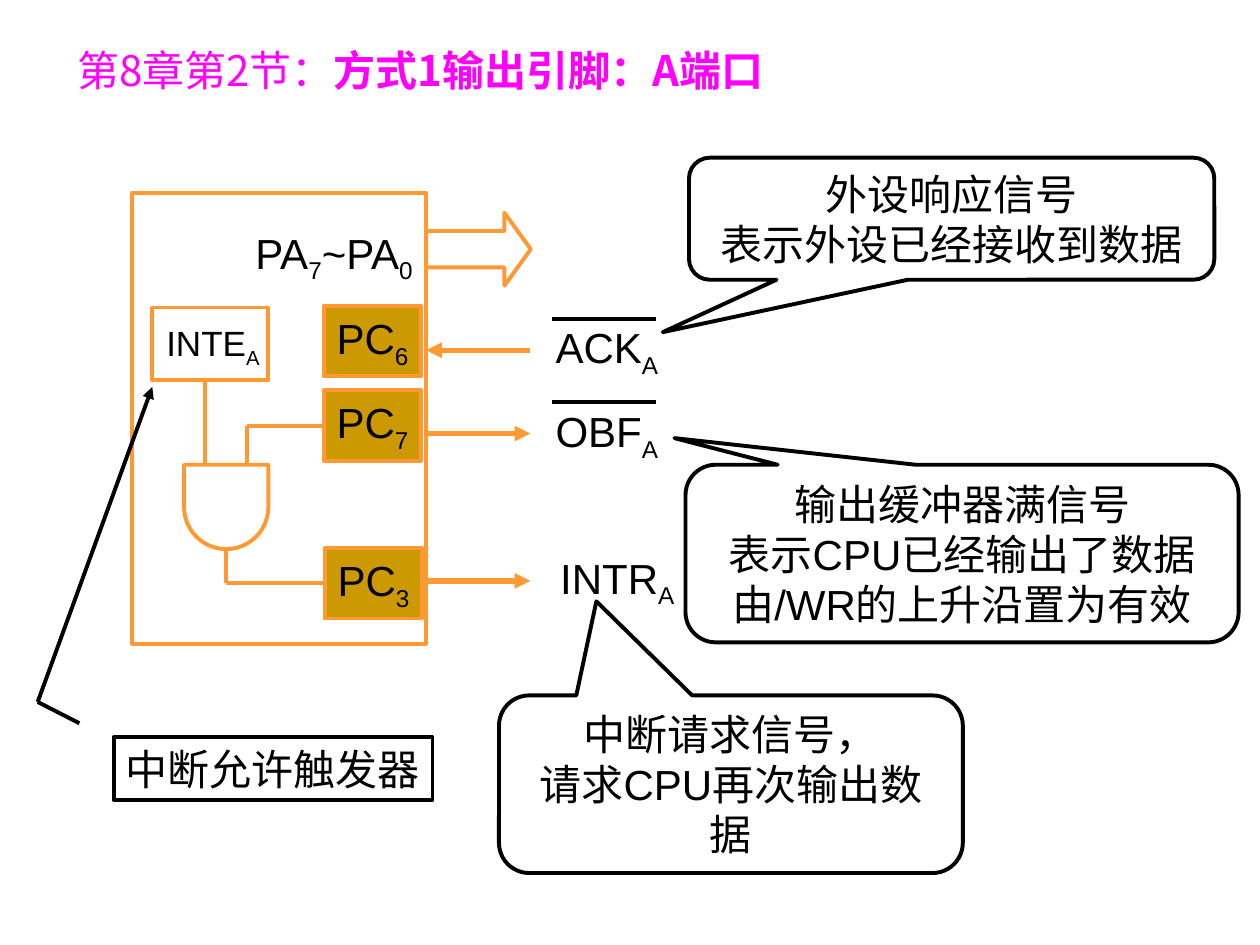
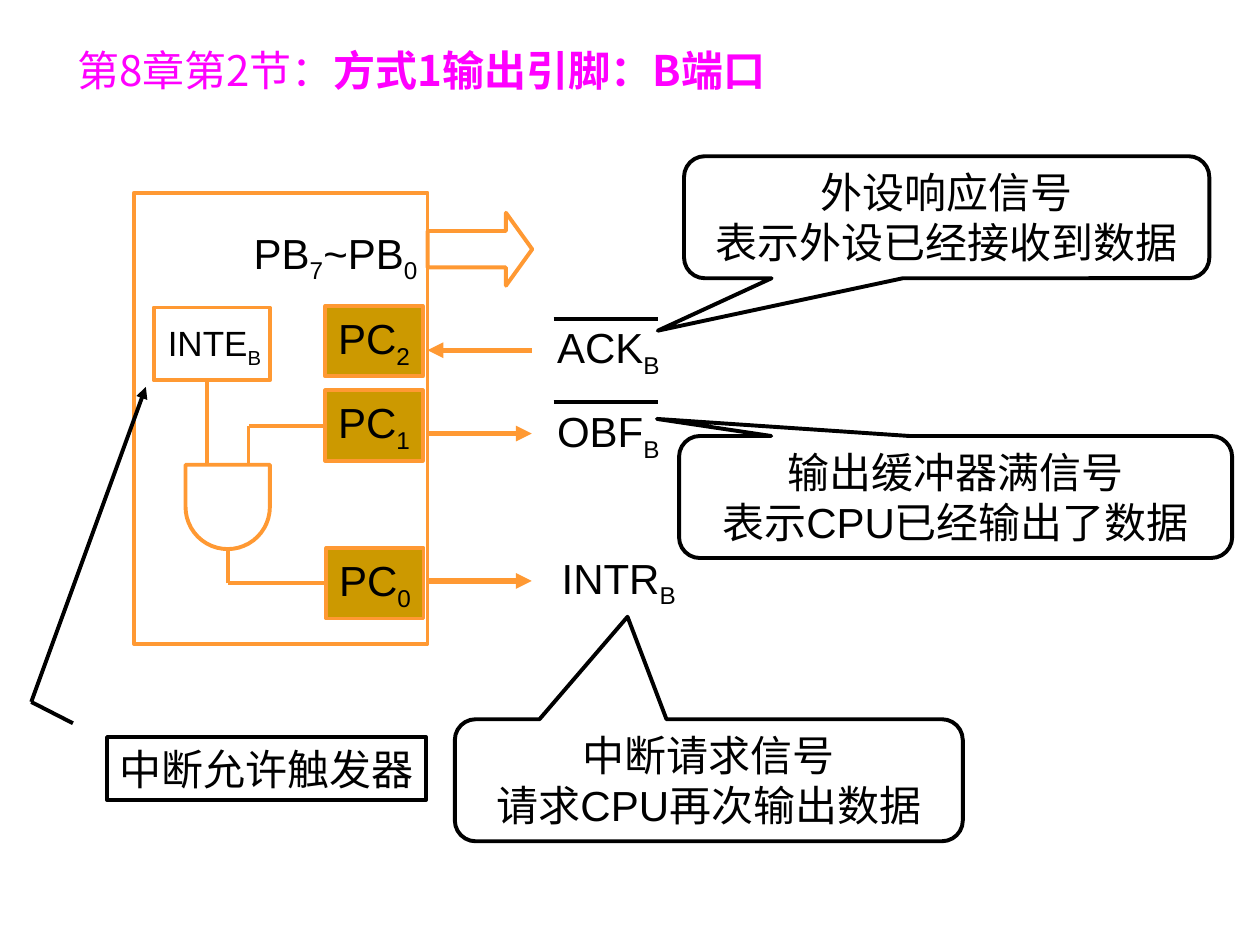
"""Build two slides on the mode 1 output pins of ports A and B."""
from dataclasses import dataclass

from lxml.etree import SubElement
from pptx import Presentation
from pptx.dml.color import RGBColor
from pptx.enum.shapes import MSO_CONNECTOR, MSO_SHAPE as SHAPE
from pptx.enum.text import MSO_ANCHOR, MSO_AUTO_SIZE, PP_ALIGN as ALIGN
from pptx.oxml.ns import qn
from pptx.util import Cm, Pt

COLORS = {"ink": "000000", "title": "FF00FF", "wire": "FF9933",
          "pin": "CC9900", "paper": "FFFFFF"}
LATIN, CJK, CJK_LIGHT = "Arial", "Noto Sans CJK SC", "Noto Sans CJK JP"
LEADING = 28.6
PIN_W, PIN_H = 1.96, 1.42
CHIP_RIGHT, ARROW_END = 8.59, 10.69


@dataclass(frozen=True)
class Box:
    x: float
    y: float
    w: float
    h: float

    def shifted(self, dx: float) -> "Box":
        return Box(self.x + dx, self.y, self.w, self.h)

    def emu(self) -> tuple:
        return Cm(self.x), Cm(self.y), Cm(self.w), Cm(self.h)


@dataclass(frozen=True)
class Callout:
    box: Box
    tip: tuple[float, float]
    lines: tuple[str, ...]
    wrap: bool = False


@dataclass(frozen=True)
class Port:
    name: str
    ack_pin: int
    obf_pin: int
    intr_pin: int
    chip_dx: float
    trigger_dx: float
    callouts: tuple[Callout, ...]


ACK_LINES = ("外设响应信号", "表示外设已经接收到数据")
OBF_LINES = ("输出缓冲器满信号", "表示CPU已经输出了数据")
INTR_LINE = "请求CPU再次输出数据"
PORTS = (
    Port("A", 6, 7, 3, 0, 0, (
        Callout(Box(13.89, 3.18, 10.59, 2.46), (-0.55, 0.93), ACK_LINES),
        Callout(Box(13.82, 9.37, 11.15, 3.58), (-0.52, -0.65),
                OBF_LINES + ("由/WR的上升沿置为有效",)),
        Callout(Box(10.06, 14.02, 9.35, 3.58), (-0.29, -1.03),
                ("中断请求信号，", INTR_LINE), wrap=True))),
    Port("B", 2, 1, 0, 0.03, -0.13, (
        Callout(Box(13.79, 3.15, 10.59, 2.46), (-0.55, 0.93), ACK_LINES),
        Callout(Box(13.69, 8.79, 11.15, 2.46), (-0.54, -0.64), OBF_LINES),
        Callout(Box(9.17, 14.5, 10.24, 2.46), (-0.16, -1.34),
                ("中断请求信号", INTR_LINE)))),
)


def rgb(name: str) -> RGBColor:
    return RGBColor.from_string(COLORS[name])


def add_run(p, text: str, *, size: float = 24, color: str = "ink", latin: str = LATIN,
            cjk: str = CJK, bold: bool = False, sub: bool = False) -> None:
    r = p.add_run()
    r.text = text
    font = r.font
    font.size, font.bold, font.name = Pt(size), bold, latin
    font.color.rgb = rgb(color)
    r_pr = r._r.get_or_add_rPr()
    SubElement(r_pr, qn("a:ea")).set("typeface", cjk)
    if sub:
        r_pr.set("baseline", "-25000")


def write(sp, lines: tuple[str, ...], *, size: float = 24, align=ALIGN.CENTER,
          wrap: bool = False, leading: float | None = None) -> None:
    """Fill a shape with lines in which every second part between bars is a subscript."""
    tf = sp.text_frame
    tf.auto_size, tf.word_wrap = MSO_AUTO_SIZE.NONE, wrap
    tf.vertical_anchor = MSO_ANCHOR.MIDDLE
    for i, line in enumerate(lines):
        p = tf.add_paragraph() if i else tf.paragraphs[0]
        p.alignment = align
        if leading:
            p.line_spacing = Pt(leading)
        for j, part in enumerate(line.split("|")):
            add_run(p, part, size=size, sub=j % 2 == 1)


def add_outline(slide, kind, box: Box, *, line: str = "wire", fill: str | None = None,
                adjustments: tuple[float, ...] = ()):
    sp = slide.shapes.add_shape(kind, *box.emu())
    sp.shadow.inherit = False
    sp.line.color.rgb, sp.line.width = rgb(line), Pt(2.25)
    if fill:
        sp.fill.solid()
        sp.fill.fore_color.rgb = rgb(fill)
    else:
        sp.fill.background()
    for i, value in enumerate(adjustments):
        sp.adjustments[i] = value
    return sp


def add_label(slide, text: str, box: Box, size: float = 24) -> None:
    write(slide.shapes.add_textbox(*box.emu()), (text,), size=size)


def add_line(slide, x1: float, y1: float, x2: float, y2: float, *, color: str = "wire",
             width: float = 2.25, arrow: bool = False):
    cx = slide.shapes.add_connector(MSO_CONNECTOR.STRAIGHT, Cm(x1), Cm(y1), Cm(x2), Cm(y2))
    cx.line.color.rgb, cx.line.width = rgb(color), Pt(width)
    if arrow:
        SubElement(cx.line._get_or_add_ln(), qn("a:tailEnd")).set("type", "triangle")
    SubElement(cx._element.spPr, qn("a:effectLst"))
    return cx


def add_title(slide, port: Port) -> None:
    sp = slide.shapes.title
    sp.left, sp.top, sp.width, sp.height = Box(1.3, 0.71, 15.06, 1.4).emu()
    tf = sp.text_frame
    tf.auto_size, tf.word_wrap = MSO_AUTO_SIZE.NONE, True
    tf.vertical_anchor = MSO_ANCHOR.MIDDLE
    p = tf.paragraphs[0]
    p.alignment, p.line_spacing = ALIGN.JUSTIFY, Pt(LEADING)
    add_run(p, "第8章第2节：", color="title", latin=CJK_LIGHT, cjk=CJK_LIGHT)
    add_run(p, f"方式1输出引脚：{port.name}端口", color="title", latin=CJK, bold=True)


def add_pin(slide, number: int, x: float, y: float):
    sp = add_outline(slide, SHAPE.RECTANGLE, Box(x, y, PIN_W, PIN_H), fill="pin")
    write(sp, (f"PC|{number}",))
    return sp


def add_chip(slide, port: Port) -> None:
    name, dx = port.name, port.chip_dx
    add_outline(slide, SHAPE.RECTANGLE, Box(2.67, 3.89, 5.92, 9.09).shifted(dx), fill="paper")
    add_pin(slide, port.ack_pin, 6.53 + dx, 6.17)
    obf_pin = add_pin(slide, port.obf_pin, 6.53 + dx, 7.87)
    intr_pin = add_pin(slide, port.intr_pin, 6.55 + dx, 11.05)
    add_outline(slide, SHAPE.RIGHT_ARROW, Box(CHIP_RIGHT, 4.29, 2.11, 1.47).shifted(dx),
                adjustments=(0.5, 0.36))
    add_label(slide, f"P{name}|7|~P{name}|0", Box(4.83, 4.45, 3.81, 1.42).shifted(dx))
    add_outline(slide, SHAPE.RECTANGLE, Box(3.07, 6.2, 2.34, 1.47).shifted(dx))
    add_label(slide, f"INTE|{name}", Box(3.1, 6.35, 2.39, 1.22).shifted(dx), size=20)

    gate = Box(3.71, 9.37, 1.7, 1.7).shifted(dx)
    add_outline(slide, SHAPE.FLOWCHART_DELAY, gate).rotation = 90
    add_line(slide, 4.14 + dx, 7.7, 4.14 + dx, gate.y)
    gate_out = gate.x + gate.w / 2
    for pin, x, gate_y in ((obf_pin, 4.98 + dx, gate.y), (intr_pin, gate_out, gate.y + gate.h)):
        pin_y = (pin.top + pin.height / 2) / Cm(1)
        add_line(slide, x, pin_y, x, gate_y)
        add_line(slide, pin.left / Cm(1), pin_y, x, pin_y).begin_connect(pin, 1)


def add_signals(slide, port: Port) -> None:
    dx = port.chip_dx
    start, end = CHIP_RIGHT + dx, ARROW_END + dx
    for x1, x2, y in ((end, start, 7.06), (start, end, 8.74), (start, end, 11.71)):
        add_line(slide, x1, y, x2, y, width=3, arrow=True)
    for signal, box in (("ACK", Box(10.95, 6.35, 2.57, 1.42)),
                        ("OBF", Box(10.95, 8.05, 2.57, 1.42)),
                        ("INTR", Box(11.05, 11, 2.79, 1.42))):
        add_label(slide, f"{signal}|{port.name}", box.shifted(dx))
    for y in (6.43, 8.1):
        add_line(slide, 11.13 + dx, y, 13.23 + dx, y, color="ink")


def add_trigger(slide, dx: float) -> None:
    sp = add_outline(slide, SHAPE.RECTANGLE, Box(2.29, 14.86, 6.43, 1.27).shifted(dx),
                     line="ink")
    write(sp, ("中断允许触发器",), align=ALIGN.LEFT, leading=LEADING)
    add_line(slide, 0.76 + dx, 14.15, 3.07 + dx, 7.8, color="ink", arrow=True)
    add_line(slide, 0.76 + dx, 14.15, 1.6 + dx, 14.58, color="ink")


def add_callout(slide, callout: Callout) -> None:
    sp = add_outline(slide, SHAPE.ROUNDED_RECTANGULAR_CALLOUT, callout.box, line="ink",
                     adjustments=(*callout.tip, 0.17))
    write(sp, callout.lines, wrap=callout.wrap, leading=LEADING)


def main() -> None:
    prs = Presentation()
    prs.slide_width, prs.slide_height = Cm(25.4), Cm(19.05)
    for port in PORTS:
        slide = prs.slides.add_slide(prs.slide_layouts[5])
        add_title(slide, port)
        add_chip(slide, port)
        add_signals(slide, port)
        for callout in port.callouts:
            add_callout(slide, callout)
        add_trigger(slide, port.trigger_dx)
    prs.save("out.pptx")


if __name__ == "__main__":
    main()
